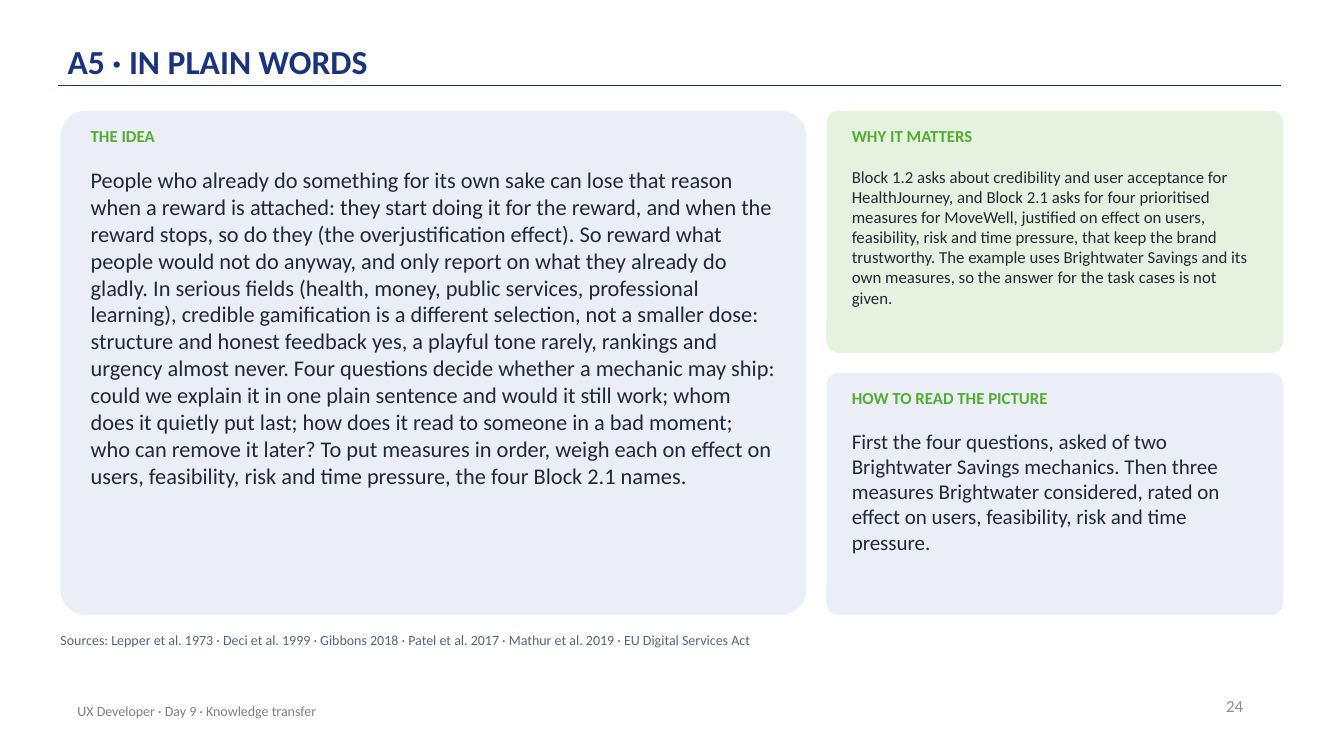
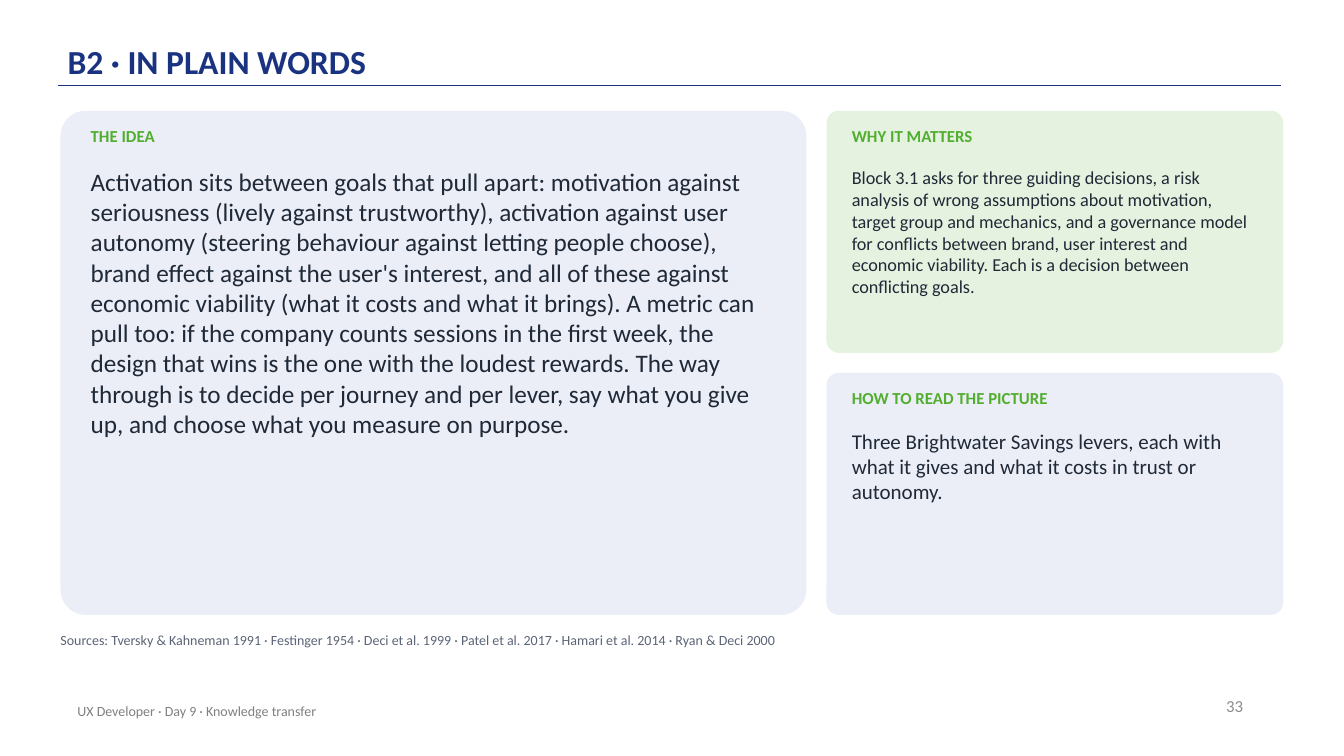
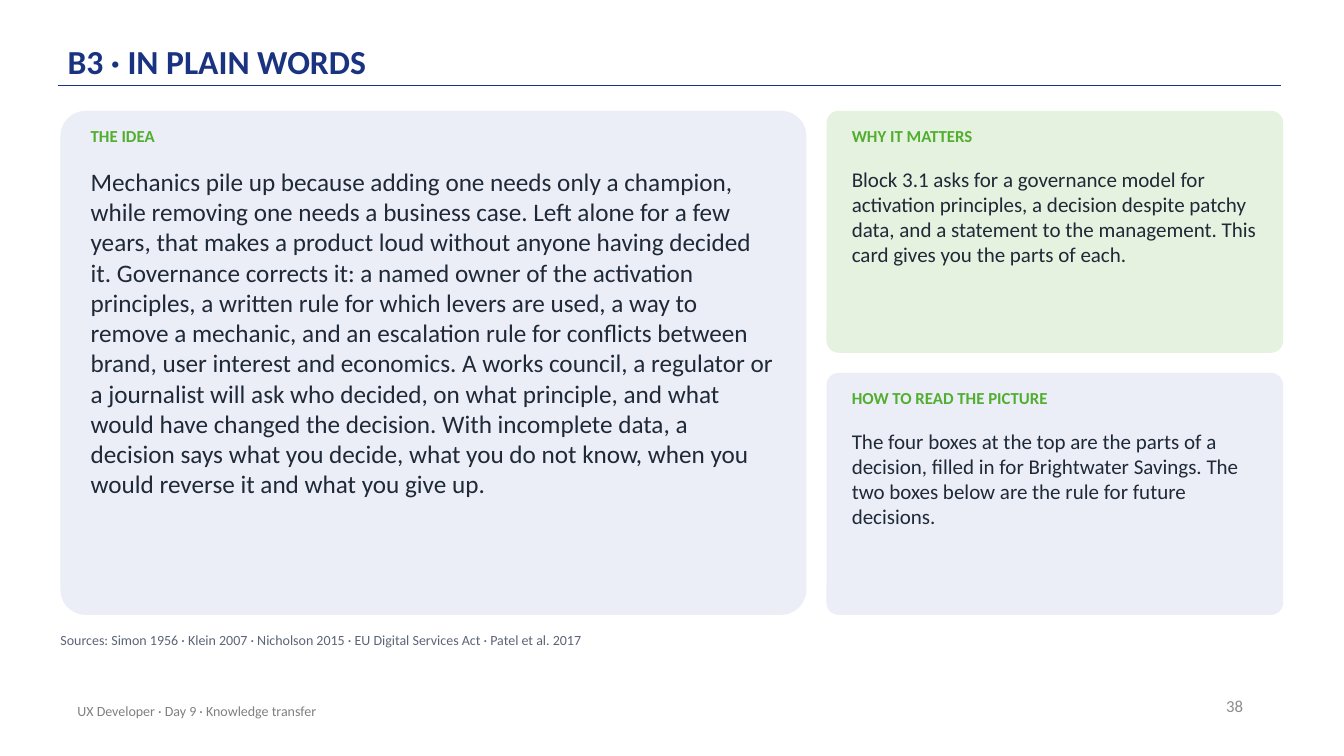
"""Build three "in plain words" cards: the idea, why it matters and how to read the picture."""
from dataclasses import dataclass

from lxml.etree import SubElement
from pptx import Presentation
from pptx.dml.color import RGBColor
from pptx.enum.shapes import MSO_CONNECTOR as Connector, MSO_SHAPE as Preset
from pptx.enum.text import MSO_ANCHOR as Anchor, PP_ALIGN as Align
from pptx.oxml.ns import qn
from pptx.util import Inches, Pt


@dataclass(frozen=True)
class Theme:
    font: str = "Calibri"
    navy: str = "1A3381"
    green: str = "51AE2F"
    ink: str = "1F2937"
    source: str = "5B6577"
    footer: str = "808080"
    number: str = "8C8C8C"
    pale_blue: str = "ECEEF7"
    pale_green: str = "E5F2DF"
    title_size: int = 24
    label_size: int = 12
    number_size: int = 12
    small_size: int = 10


theme = Theme()
UNIT = Inches(0.1)
COLUMNS, ROWS = 133.33, 75
LEFT, TOP, GAP = 6, 11, 2
IDEA_WIDTH, SIDE_WIDTH, PANEL_HEIGHT = 74, 45.3, 50
SIDE_LEFT = LEFT + IDEA_WIDTH + GAP
SIDE_HEIGHT = (PANEL_HEIGHT - GAP) / 2
FOOTER = "UX Developer · Day 9 · Knowledge transfer"

PANELS = [
    ("THE IDEA", LEFT, TOP, IDEA_WIDTH, PANEL_HEIGHT, 3, 68, theme.pale_blue),
    ("WHY IT MATTERS", SIDE_LEFT, TOP, SIDE_WIDTH, SIDE_HEIGHT, 2.5, 40.5, theme.pale_green),
    ("HOW TO READ THE PICTURE", SIDE_LEFT, TOP + SIDE_HEIGHT + GAP, SIDE_WIDTH, SIDE_HEIGHT,
     2.5, 40.5, theme.pale_blue),
]

CARDS = [
    ("A5", 24, [
        (" ".join([
            "People who already do something for its own sake can lose that reason when a reward "
            "is attached: they start doing it for the reward, and when the reward stops, so do "
            "they (the overjustification effect).",
            "So reward what people would not do anyway, and only report on what they already do "
            "gladly.",
            "In serious fields (health, money, public services, professional learning), credible "
            "gamification is a different selection, not a smaller dose: structure and honest "
            "feedback yes, a playful tone rarely, rankings and urgency almost never.",
            "Four questions decide whether a mechanic may ship: could we explain it in one plain "
            "sentence and would it still work; whom does it quietly put last; how does it read "
            "to someone in a bad moment; who can remove it later?",
            "To put measures in order, weigh each on effect on users, feasibility, risk and time "
            "pressure, the four Block 2.1 names.",
        ]), 16),
        ("Block 1.2 asks about credibility and user acceptance for HealthJourney, and Block 2.1 "
         "asks for four prioritised measures for MoveWell, justified on effect on users, "
         "feasibility, risk and time pressure, that keep the brand trustworthy. The example uses "
         "Brightwater Savings and its own measures, so the answer for the task cases is not "
         "given.", 12),
        ("First the four questions, asked of two Brightwater Savings mechanics. Then three "
         "measures Brightwater considered, rated on effect on users, feasibility, risk and time "
         "pressure.", 15),
    ], "Lepper et al. 1973 · Deci et al. 1999 · Gibbons 2018 · Patel et al. 2017 · "
       "Mathur et al. 2019 · EU Digital Services Act"),
    ("B2", 33, [
        ("Activation sits between goals that pull apart: motivation against seriousness (lively "
         "against trustworthy), activation against user autonomy (steering behaviour against "
         "letting people choose), brand effect against the user's interest, and all of these "
         "against economic viability (what it costs and what it brings). A metric can pull too: "
         "if the company counts sessions in the first week, the design that wins is the one with "
         "the loudest rewards. The way through is to decide per journey and per lever, say what "
         "you give up, and choose what you measure on purpose.", 18),
        ("Block 3.1 asks for three guiding decisions, a risk analysis of wrong assumptions about "
         "motivation, target group and mechanics, and a governance model for conflicts between "
         "brand, user interest and economic viability. Each is a decision between conflicting "
         "goals.", 13),
        ("Three Brightwater Savings levers, each with what it gives and what it costs in trust "
         "or autonomy.", 15),
    ], "Tversky & Kahneman 1991 · Festinger 1954 · Deci et al. 1999 · Patel et al. 2017 · "
       "Hamari et al. 2014 · Ryan & Deci 2000"),
    ("B3", 38, [
        ("Mechanics pile up because adding one needs only a champion, while removing one needs a "
         "business case. Left alone for a few years, that makes a product loud without anyone "
         "having decided it. Governance corrects it: a named owner of the activation principles, "
         "a written rule for which levers are used, a way to remove a mechanic, and an "
         "escalation rule for conflicts between brand, user interest and economics. A works "
         "council, a regulator or a journalist will ask who decided, on what principle, and what "
         "would have changed the decision. With incomplete data, a decision says what you "
         "decide, what you do not know, when you would reverse it and what you give up.", 18),
        ("Block 3.1 asks for a governance model for activation principles, a decision despite "
         "patchy data, and a statement to the management. This card gives you the parts of "
         "each.", 15),
        ("The four boxes at the top are the parts of a decision, filled in for Brightwater "
         "Savings. The two boxes below are the rule for future decisions.", 15),
    ], "Simon 1956 · Klein 2007 · Nicholson 2015 · EU Digital Services Act · Patel et al. 2017"),
]


def grid(*cells):
    """Turn grid columns and rows into lengths."""
    return [round(cell * UNIT) for cell in cells]


def add_text(slide, text, cells, size, color, bold=False, anchor=Anchor.TOP, margins=(0, 0)):
    """Add a wrapped text box and return its paragraph."""
    text_frame = slide.shapes.add_textbox(*grid(*cells)).text_frame
    text_frame.word_wrap = True
    text_frame.vertical_anchor = anchor
    text_frame.margin_left = text_frame.margin_right = Inches(margins[0])
    text_frame.margin_top = text_frame.margin_bottom = Inches(margins[1])
    text_frame.text = text
    paragraph = text_frame.paragraphs[0]
    font = paragraph.runs[0].font
    font.name, font.size, font.bold = theme.font, Pt(size), bold
    font.color.rgb = RGBColor.from_string(color)
    return paragraph


presentation = Presentation()
presentation.slide_width, presentation.slide_height = grid(COLUMNS, ROWS)

for code, number, bodies, sources in CARDS:
    slide = presentation.slides.add_slide(presentation.slide_layouts[6])

    rule = slide.shapes.add_connector(Connector.STRAIGHT, *grid(5.8, 8.5, 127.1, 8.5))
    rule.line.color.rgb = RGBColor.from_string(theme.navy)
    rule.line.width = Pt(1)
    SubElement(rule.element.spPr, qn("a:effectLst"))

    title = add_text(slide, f"{code} · IN PLAIN WORDS", (6.7, 1.2, 110, 7.2), theme.title_size,
                     theme.navy, True, Anchor.BOTTOM, (0, 0.03))
    title.line_spacing = 0.9
    page = add_text(slide, str(number), (94.3, 68, 30, 4), theme.number_size, theme.number,
                    anchor=Anchor.MIDDLE, margins=(0.1, 0.05))
    page.alignment = Align.RIGHT
    add_text(slide, FOOTER, (6.7, 68.5, 67, 4), theme.small_size, theme.footer,
             anchor=Anchor.MIDDLE, margins=(0.1, 0.05))

    for panel, (body, size) in zip(PANELS, bodies):
        label, left, top, width, height, inset, text_width, fill = panel
        card = slide.shapes.add_shape(Preset.ROUNDED_RECTANGLE, *grid(left, top, width, height))
        card.adjustments[0] = 0.05
        card.shadow.inherit = False
        card.fill.solid()
        card.fill.fore_color.rgb = RGBColor.from_string(fill)
        card.line.fill.background()
        add_text(slide, label, (left + inset, top + 1.5, text_width, 3.5), theme.label_size,
                 theme.green, True)
        add_text(slide, body, (left + inset, top + 5.5, text_width, height - 7), size, theme.ink)

    add_text(slide, f"Sources: {sources}", (LEFT, 62.7, 121, 3), theme.small_size, theme.source)

presentation.save("out.pptx")
